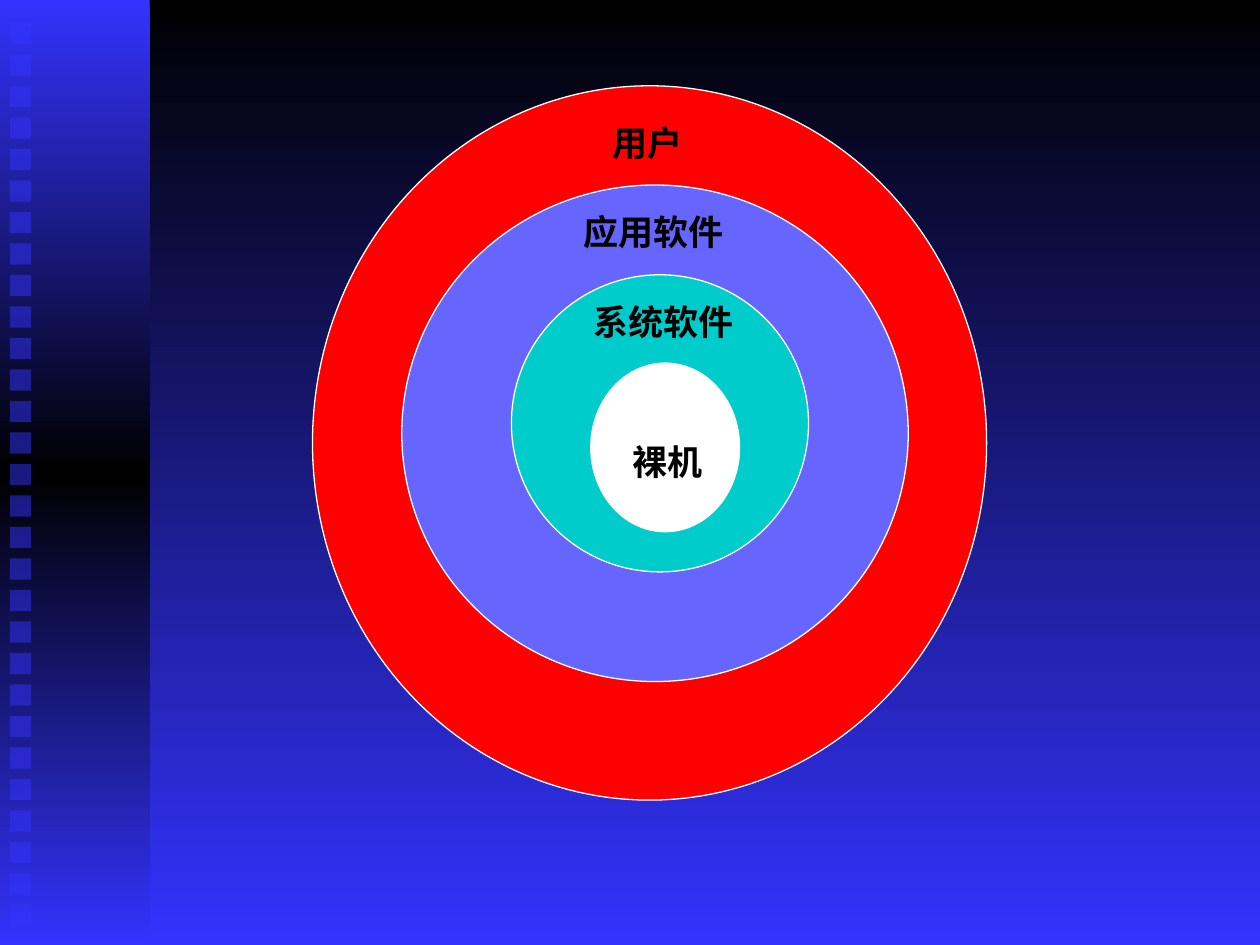
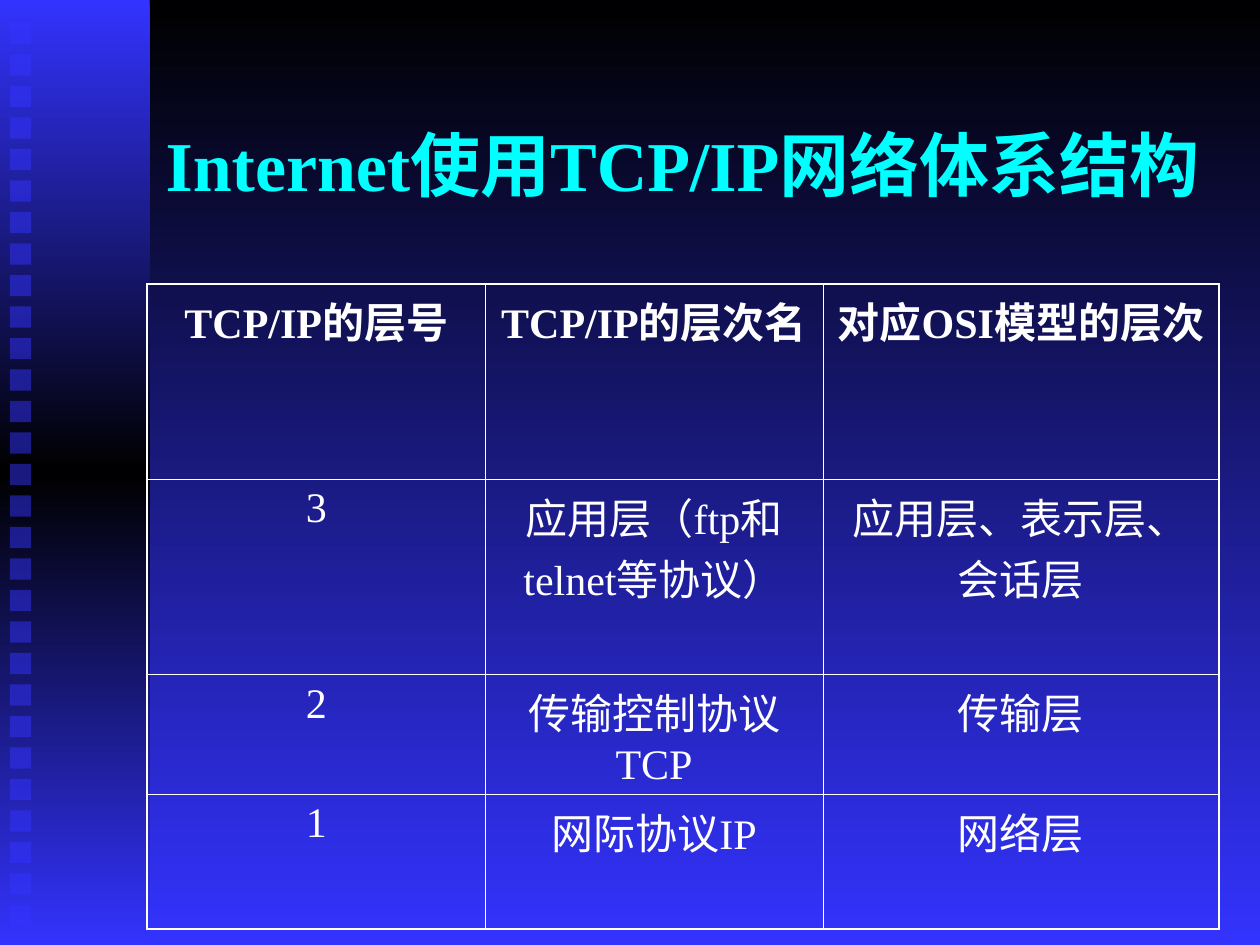
from typing import NamedTuple

from lxml.etree import SubElement
from pptx import Presentation
from pptx.dml.color import RGBColor
from pptx.enum.lang import MSO_LANGUAGE_ID as Lang
from pptx.enum.shapes import MSO_SHAPE as Kind
from pptx.enum.text import MSO_ANCHOR as Anchor, PP_ALIGN as Align
from pptx.oxml.ns import qn
from pptx.util import Cm, Pt

BLACK, WHITE, BLUE, CYAN = "000000", "FFFFFF", "3333FF", "00FFFF"
WIDE, HIGH = 25.4, 19.05
TILES, SPAN = 29, 17.78
THIN, THICK = 0.45, 1.08
BASE = {"name": "Times New Roman", "language_id": Lang.SIMPLIFIED_CHINESE}
LABEL = {**BASE, "size": Pt(20), "bold": True}
TITLE = {**BASE, "size": Pt(40), "bold": True}
HEAD = {**BASE, "size": Pt(24), "bold": True}
BODY = {**HEAD, "bold": False}


class Box(NamedTuple):
    left: float
    top: float
    wide: float
    high: float


class Ring(NamedTuple):
    box: Box
    hue: str


class Label(NamedTuple):
    text: str
    box: Box


RINGS = [
    Ring(Box(6.3, 1.73, 13.59, 14.4), "FF0000"),
    Ring(Box(8.1, 3.73, 10.21, 10.01), "6666FF"),
    Ring(Box(10.31, 5.54, 5.99, 5.99), "00CCCC"),
    Ring(Box(11.91, 7.32, 3, 3.4), WHITE),
]
LABELS = [
    Label("裸机", Box(12.5, 8.74, 3, 1.12)),
    Label("系统软件", Box(11.71, 5.92, 3.99, 1.12)),
    Label("应用软件", Box(11.51, 4.11, 5.41, 1.12)),
    Label("用户", Box(12.09, 2.31, 2.79, 1.12)),
]
COLS = [6.81, 6.81, 7.98]
ROWS = [3.94, 3.94, 2.41, 2.72]
CELLS = [
    ["TCP/IP的层号", "TCP/IP的层次名", "对应OSI模型的层次"],
    ["3", "应用层（ftp和telnet等协议）", "应用层、表示层、会话层"],
    ["2", "传输控制协议TCP", "传输层"],
    ["1", "网际协议IP", "网络层"],
]


def paint(color, hue: str) -> None:
    color.rgb = RGBColor.from_string(hue)


def place(box: Box) -> list:
    return [Cm(side) for side in box]


def shade(fill, root, hues: list[str]) -> None:
    fill.gradient()
    fill.gradient_angle = 270
    stops = root.find(".//" + qn("a:gsLst"))
    for old in list(stops):
        stops.remove(old)
    for i, hue in enumerate(hues):
        stop = SubElement(stops, qn("a:gs"), pos=str(100000 * i // (len(hues) - 1)))
        SubElement(stop, qn("a:srgbClr"), val=hue)


def draw(slide, kind, box: Box, hue: str):
    shape = slide.shapes.add_shape(kind, *place(box))
    shape.shadow.inherit = False
    shape.fill.solid()
    paint(shape.fill.fore_color, hue)
    shape.line.fill.background()
    return shape


def write(frame, text: str, look: dict, hue: str, align=Align.LEFT) -> None:
    para = frame.paragraphs[0]
    para.alignment = align
    run = para.add_run()
    run.text = text
    for key, value in look.items():
        setattr(run.font, key, value)
    paint(run.font.color, hue)


def label(slide, item: Label, look: dict, hue: str, align=Align.LEFT) -> None:
    frame = slide.shapes.add_textbox(*place(item.box)).text_frame
    frame.word_wrap = True
    frame.vertical_anchor = Anchor.MIDDLE
    write(frame, item.text, look, hue, align)


def start(deck):
    slide = deck.slides.add_slide(deck.slide_layouts[6])
    shade(slide.background.fill, slide.element, [BLACK, BLUE])
    band = draw(slide, Kind.RECTANGLE, Box(0, 0, 3.02, HIGH), BLUE)
    shade(band.fill, band.element, [BLUE, BLACK, BLUE])
    for i in range(TILES):
        top = 0.46 + i * SPAN / (TILES - 1)
        tile = draw(slide, Kind.RECTANGLE, Box(0.2, top, 0.43, 0.43), BLUE)
        tone = tile.element.spPr.find(qn("a:solidFill"))[0]
        SubElement(tone, qn("a:alpha"), val="50000")
    return slide


def edge(cell, sides: dict[str, float]) -> None:
    props = cell._tc.get_or_add_tcPr()
    for side, width in sides.items():
        line = SubElement(props, qn(f"a:ln{side}"), w=str(Pt(width)))
        fill = SubElement(line, qn("a:solidFill"))
        SubElement(fill, qn("a:srgbClr"), val=WHITE)


def layers(deck) -> None:
    slide = start(deck)
    for ring in RINGS:
        shape = draw(slide, Kind.OVAL, ring.box, ring.hue)
        paint(shape.line.color, WHITE)
        shape.line.width = Pt(0.75)
    for item in LABELS:
        label(slide, item, LABEL, BLACK)


def model(deck) -> None:
    slide = start(deck)
    title = Label("Internet使用TCP/IP网络体系结构", Box(2.11, 1.7, 23.29, 3.18))
    label(slide, title, TITLE, CYAN, Align.CENTER)
    box = Box(2.97, 5.72, sum(COLS), sum(ROWS))
    table = slide.shapes.add_table(len(ROWS), len(COLS), *place(box)).table
    table.first_row = table.horz_banding = False
    for col, wide in zip(table.columns, COLS):
        col.width = Cm(wide)
    for r, (row, high) in enumerate(zip(table.rows, ROWS)):
        row.height = Cm(high)
        for c, cell in enumerate(row.cells):
            outer = {
                "L": c == 0,
                "R": c == len(COLS) - 1,
                "T": r == 0,
                "B": r == len(ROWS) - 1,
            }
            edge(cell, {k: THICK if out else THIN for k, out in outer.items()})
            cell.fill.background()
            look = BODY if r else HEAD
            write(cell.text_frame, CELLS[r][c], look, WHITE, Align.CENTER)


def main() -> None:
    deck = Presentation()
    deck.slide_width, deck.slide_height = Cm(WIDE), Cm(HIGH)
    layers(deck)
    model(deck)
    deck.save("out.pptx")


if __name__ == "__main__":
    main()
